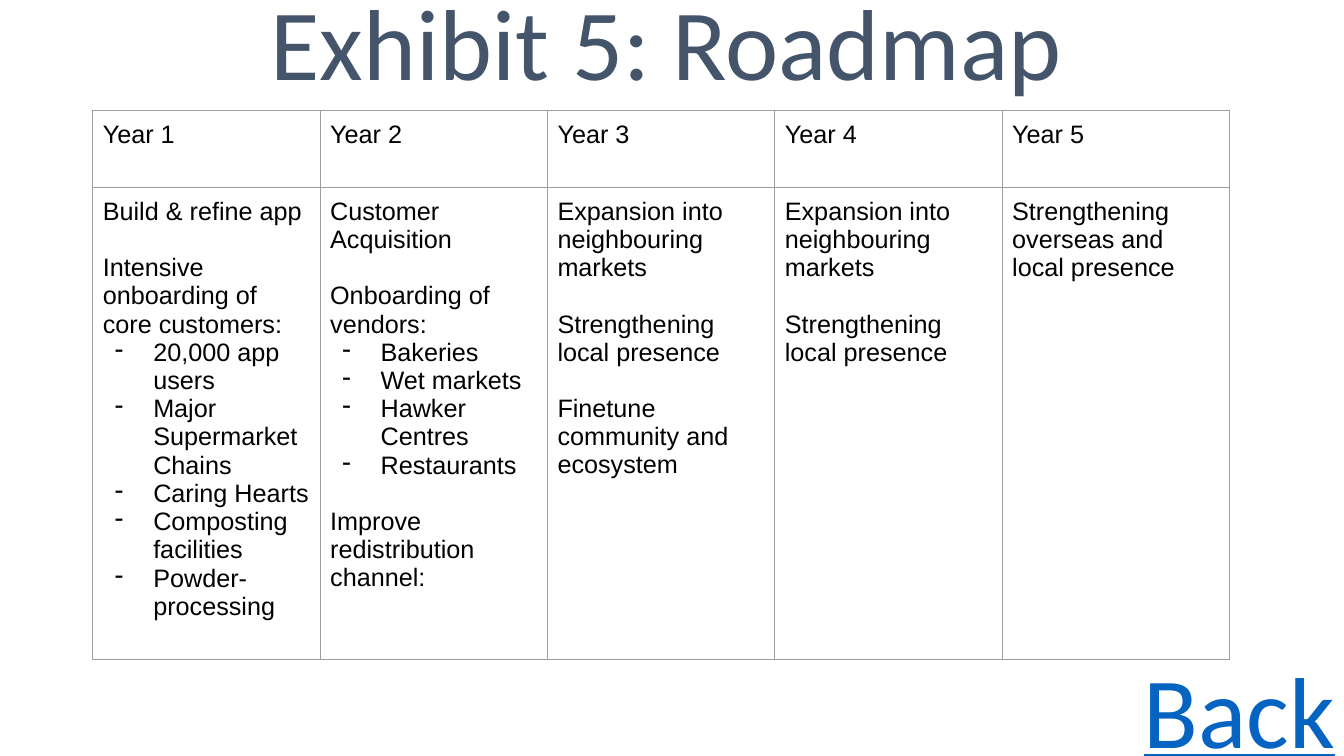
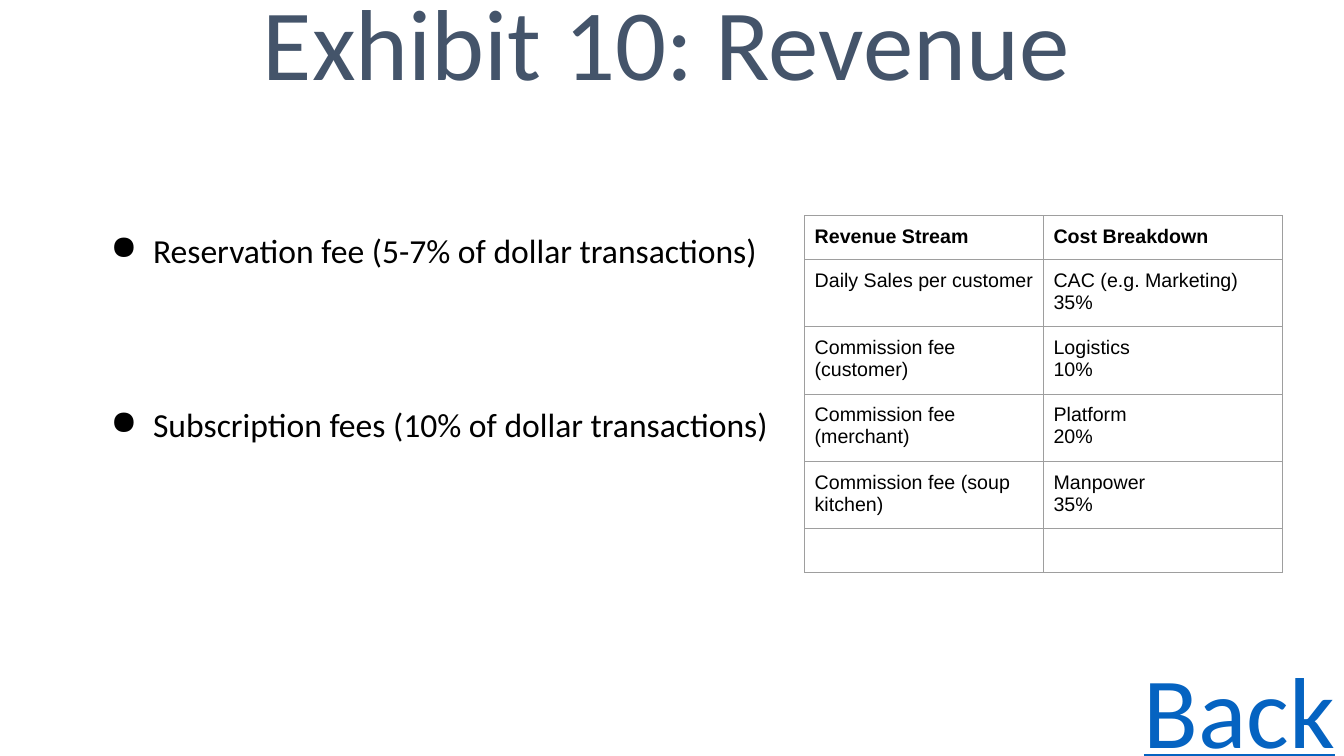
import lxml.etree
import pptx
import pptx.dml.color
import pptx.enum.text
import pptx.oxml.ns
import pptx.util

Inches = pptx.util.Inches
Pt = pptx.util.Pt
RGBColor = pptx.dml.color.RGBColor
PP_ALIGN = pptx.enum.text.PP_ALIGN
MSO_ANCHOR = pptx.enum.text.MSO_ANCHOR
qn = pptx.oxml.ns.qn

TITLE_COLOR = RGBColor(0x44, 0x54, 0x6A)
LINK_COLOR = RGBColor(0x05, 0x63, 0xC1)
TEXT_COLOR = RGBColor(0, 0, 0)
BORDER_COLOR = RGBColor(0x9E, 0x9E, 0x9E)
HEADING_FONT = "Calibri"
TABLE_FONT = "Arial"

ROADMAP = {
    "Year 1": [
        ("Build & refine app", []),
        ("Intensive onboarding of core customers:", [
            "20,000 app users", "Major Supermarket Chains", "Caring Hearts",
            "Composting facilities", "Powder-processing"]),
    ],
    "Year 2": [
        ("Customer Acquisition", []),
        ("Onboarding of vendors:", [
            "Bakeries", "Wet markets", "Hawker Centres", "Restaurants"]),
        ("Improve redistribution channel:", []),
    ],
    "Year 3": [
        ("Expansion into neighbouring markets", []),
        ("Strengthening local presence", []),
        ("Finetune community and ecosystem", []),
    ],
    "Year 4": [
        ("Expansion into neighbouring markets", []),
        ("Strengthening local presence", []),
    ],
    "Year 5": [("Strengthening overseas and local presence", [])],
}

REVENUE = [
    (["Revenue Stream"], ["Cost Breakdown"]),
    (["Daily Sales per customer"], ["CAC (e.g. Marketing)", "35%"]),
    (["Commission fee (customer)"], ["Logistics", "10%"]),
    (["Commission fee (merchant)"], ["Platform", "20%"]),
    (["Commission fee (soup kitchen)"], ["Manpower", "35%"]),
    ([""], [""]),
]

FEES = [
    "Reservation fee (5-7% of dollar transactions)",
    "Subscription fees (10% of dollar transactions)",
]


def add_bullet(paragraph, character, indent, hanging):
    properties = paragraph._p.get_or_add_pPr()
    properties.set("marL", str(Inches(indent)))
    properties.set("indent", str(-Inches(hanging)))
    color = lxml.etree.SubElement(properties, qn("a:buClr"))
    lxml.etree.SubElement(color, qn("a:srgbClr"), val=str(TEXT_COLOR))
    lxml.etree.SubElement(properties, qn("a:buChar"), char=character)


def add_text(frame, text, first=False, size=18, font=TABLE_FONT, color=TEXT_COLOR,
             bold=False, underline=False, align=PP_ALIGN.LEFT, line_spacing=None,
             space_before=0, bullet=None, indent=0.5, hanging=0.38):
    paragraph = frame.paragraphs[0] if first else frame.add_paragraph()
    paragraph.alignment = align
    if line_spacing:
        paragraph.line_spacing = line_spacing
    if space_before and not first:
        paragraph.space_before = Pt(space_before)
    if bullet:
        add_bullet(paragraph, bullet, indent, hanging)
    if not text:
        lxml.etree.SubElement(paragraph._p, qn("a:endParaRPr"), sz=str(size * 100))
        return
    run = paragraph.add_run()
    run.text = text
    run.font.size = Pt(size)
    run.font.name = font
    run.font.color.rgb = color
    run.font.bold = bold
    run.font.underline = underline


def add_text_box(slide, left, top, width, height, anchor=MSO_ANCHOR.TOP):
    box = slide.shapes.add_textbox(Inches(left), Inches(top), Inches(width), Inches(height))
    box.text_frame.word_wrap = True
    box.text_frame.vertical_anchor = anchor
    return box.text_frame


def add_heading(slide, text, left, top, width, **text_format):
    frame = add_text_box(slide, left, top, width, 0.89, MSO_ANCHOR.BOTTOM)
    add_text(frame, text, first=True, size=72, font=HEADING_FONT,
             align=PP_ALIGN.CENTER, line_spacing=0.9, **text_format)


def add_exhibit_slide(presentation, title):
    slide = presentation.slides.add_slide(presentation.slide_layouts[6])
    add_heading(slide, title, 0.71, 0.17, 11.8, color=TITLE_COLOR)
    add_heading(slide, "Back", 11.02, 6.8, 2.55, color=LINK_COLOR, underline=True)
    return slide


def style_cell(cell):
    cell.margin_left = cell.margin_right = Inches(0.1)
    cell.margin_top = cell.margin_bottom = Inches(0.1)
    properties = cell._tc.get_or_add_tcPr()
    for side in ("a:lnL", "a:lnR", "a:lnT", "a:lnB"):
        line = lxml.etree.SubElement(properties, qn(side), w=str(Pt(0.75)))
        fill = lxml.etree.SubElement(line, qn("a:solidFill"))
        lxml.etree.SubElement(fill, qn("a:srgbClr"), val=str(BORDER_COLOR))
    cell.fill.background()


def add_grid(slide, left, top, column_width, column_count, row_heights):
    table = slide.shapes.add_table(
        len(row_heights), column_count, Inches(left), Inches(top),
        Inches(column_width * column_count), Inches(sum(row_heights))).table
    table.first_row = table.horz_banding = False
    for column in table.columns:
        column.width = Inches(column_width)
    for row, height in zip(table.rows, row_heights):
        row.height = Inches(height)
    for cell in table.iter_cells():
        style_cell(cell)
    return table


def add_roadmap(slide):
    table = add_grid(slide, 0.92, 1.1, 2.255, len(ROADMAP), [0.76, 4.62])
    for column, (year, goals) in enumerate(ROADMAP.items()):
        add_text(table.cell(0, column).text_frame, year, first=True)
        frame = table.cell(1, column).text_frame
        for index, (goal, details) in enumerate(goals):
            add_text(frame, goal, first=index == 0, space_before=20)
            for detail in details:
                add_text(frame, detail, bullet="-")


def add_revenue_table(slide):
    table = add_grid(slide, 7.98, 2.14, 2.37, 2, [0.42] + [0.64] * 4 + [0.42])
    for row, entries in enumerate(REVENUE):
        for column, lines in enumerate(entries):
            frame = table.cell(row, column).text_frame
            for index, line in enumerate(lines):
                add_text(frame, line, first=index == 0, size=14, bold=row == 0)


def add_fees(slide):
    frame = add_text_box(slide, 0.92, 1.83, 7.06, 4.1)
    for index, fee in enumerate(FEES):
        add_text(frame, fee, first=index == 0, size=24, font=HEADING_FONT,
                 line_spacing=2.0, space_before=67, bullet="●", hanging=0.42)


def main():
    presentation = pptx.Presentation()
    presentation.slide_width = Inches(13.33)
    presentation.slide_height = Inches(7.5)
    add_roadmap(add_exhibit_slide(presentation, "Exhibit 5: Roadmap"))
    revenue_slide = add_exhibit_slide(presentation, "Exhibit 10: Revenue")
    add_fees(revenue_slide)
    add_revenue_table(revenue_slide)
    presentation.save("out.pptx")


if __name__ == "__main__":
    main()
